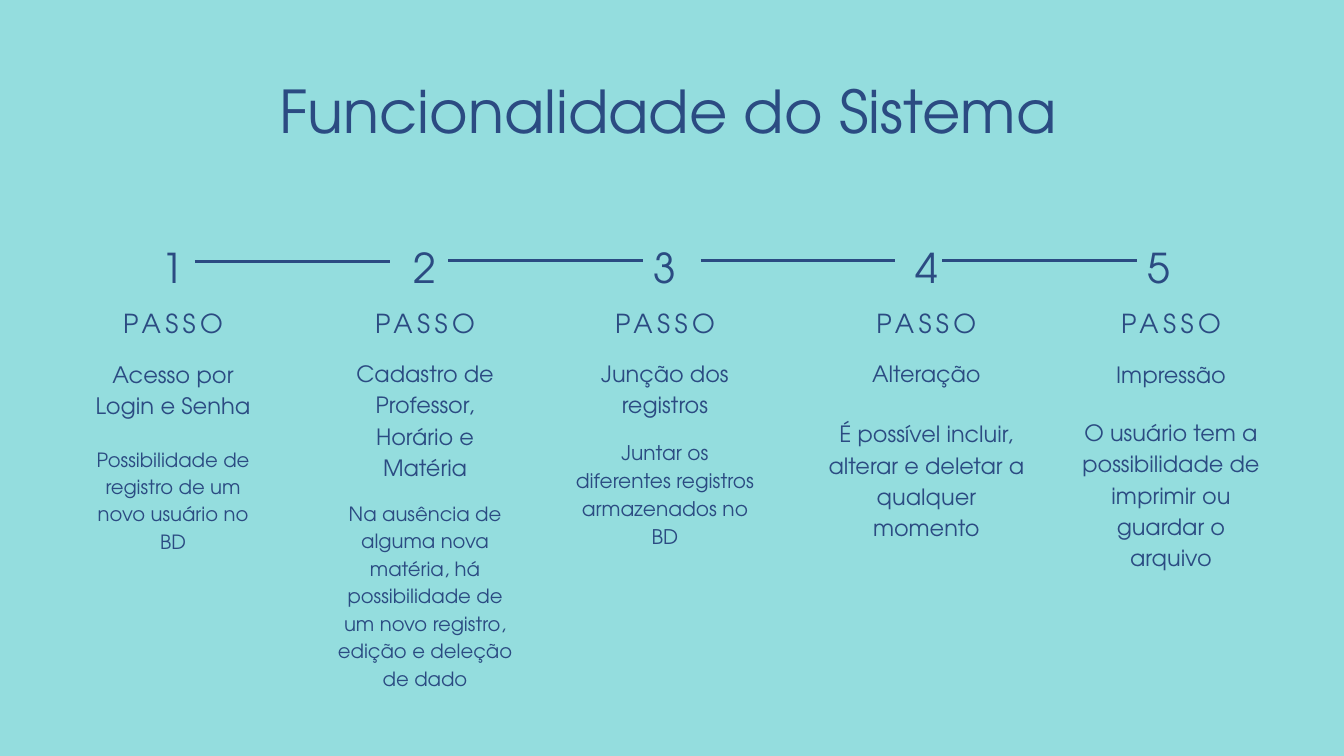
from pptx import Presentation
from pptx.dml.color import RGBColor
from pptx.enum.shapes import MSO_CONNECTOR
from pptx.enum.text import MSO_AUTO_SIZE, PP_ALIGN
from pptx.util import Pt
from lxml.etree import SubElement
from pptx.oxml.ns import qn

THEME = {
    "font": "TeX Gyre Adventor",
    "ink": RGBColor(0x2B, 0x4B, 0x82),
    "back": RGBColor(0x94, 0xDD, 0xDE),
    "title": 63.2,
    "num": 44,
    "label": 28,
    "line": 3,
}

TITLE = "Funcionalidade do Sistema"
LABEL = "PASSO"

# left, width, number centre, (head, size, top, height), (body, size, top, height)
STEPS = [
    (88.56, 193.68, 185.04,
     ("Acesso por Login e Senha", 24.2, 381.6, 65.5),
     ("Possibilidade de registro de um novo usuário no BD", 21, 475.2, 86.4)),
    (360.72, 189.36, 455.76,
     ("Cadastro de Professor, Horário e Matéria", 24, 380.88, 132.5),
     ("Na ausência de alguma nova matéria, há possibilidade de um novo "
      "registro, edição e deleção de dado", 21, 533.5, 202.3)),
    (615.6, 193.68, 712.8,
     ("Junção dos registros", 24, 380.88, 64.8),
     ("Juntar os diferentes registros armazenados no BD", 21.6, 467.3, 118.8)),
    (887.04, 210.96, 992.88,
     ("Alteração", 24, 380.88, 32.4),
     ("É possível incluir, alterar e deletar a qualquer momento",
      24, 445.7, 97.9)),
    (1157.76, 193.68, 1242,
     ("Impressão", 24, 381.6, 31),
     ("O usuário tem a possibilidade de imprimir ou guardar o arquivo",
      24, 444.2, 164.2)),
]
LINKS = [(208.8, 280.1), (480.24, 279.4), (750.6, 279.4), (1009.44, 279.4)]
SPAN = 208.8
NUM_W = 47.52


def add_text(slide, text, size, left, top, width, height, lead=1.4, track=0):
    box = slide.shapes.add_textbox(Pt(left), Pt(top), Pt(width), Pt(height))
    frame = box.text_frame
    frame.word_wrap = True
    frame.auto_size = MSO_AUTO_SIZE.SHAPE_TO_FIT_TEXT
    frame.margin_left = frame.margin_right = 0
    frame.margin_top = frame.margin_bottom = 0
    par = frame.paragraphs[0]
    run = par.add_run()
    run.text = text
    par.alignment = PP_ALIGN.CENTER
    par.line_spacing = Pt(round(size * lead, 1))
    par.font.name = THEME["font"]
    par.font.size = Pt(size)
    par.font.color.rgb = THEME["ink"]
    if track:
        run._r.get_or_add_rPr().set("spc", str(track))


def add_link(slide, left, top):
    link = slide.shapes.add_connector(
        MSO_CONNECTOR.STRAIGHT, Pt(left), Pt(top), Pt(left + SPAN), Pt(top))
    link.line.color.rgb = THEME["ink"]
    link.line.width = Pt(THEME["line"])
    SubElement(link._element.spPr, qn("a:effectLst"))


def main():
    deck = Presentation()
    deck.slide_width, deck.slide_height = Pt(1440), Pt(810)
    slide = deck.slides.add_slide(deck.slide_layouts[6])
    fill = slide.background.fill
    fill.solid()
    fill.fore_color.rgb = THEME["back"]

    add_text(slide, TITLE, THEME["title"], 80.64, 79.9, 1270.8, 76.3, lead=1.2)
    for num, (left, width, mid, head, body) in enumerate(STEPS, 1):
        add_text(slide, str(num), THEME["num"], mid - NUM_W / 2, 250.56,
                 NUM_W, 59, track=750)
        add_text(slide, LABEL, THEME["label"], left, 323.28, width, 36.7,
                 track=480)
        for text, size, top, height in (head, body):
            add_text(slide, text, size, left, top, width, height)
    for left, top in LINKS:
        add_link(slide, left, top)
    deck.save("out.pptx")


if __name__ == "__main__":
    main()
